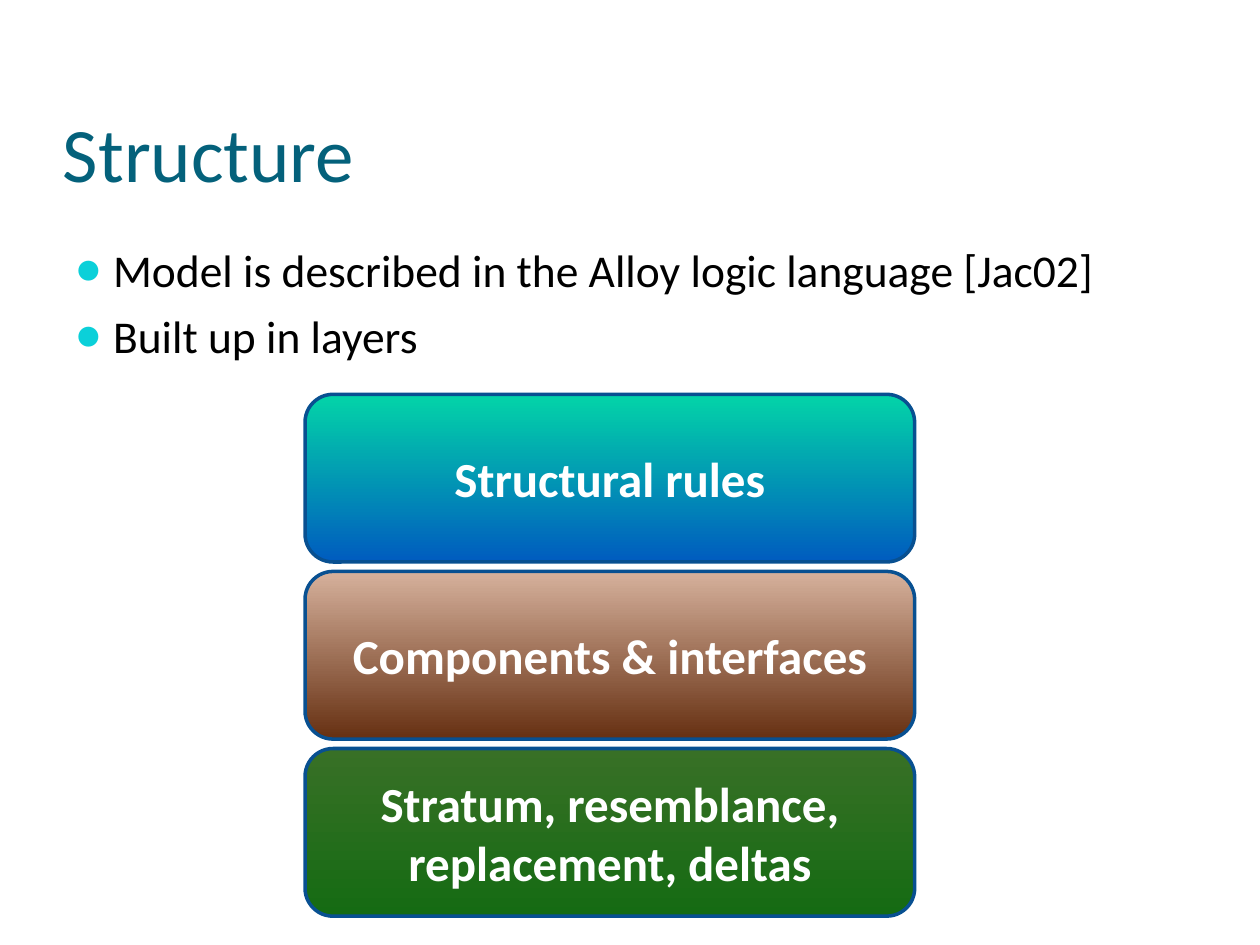
import dataclasses
import typing

import lxml.etree
import pptx
import pptx.dml.color
import pptx.enum.shapes
import pptx.enum.text
import pptx.oxml.ns
import pptx.util

Cm = pptx.util.Cm
Pt = pptx.util.Pt
RGB = pptx.dml.color.RGBColor.from_string
Align = pptx.enum.text.PP_ALIGN
Anchor = pptx.enum.text.MSO_ANCHOR


@dataclasses.dataclass(frozen=True)
class Theme:
    font: str = "Calibri"
    title: str = "04617B"
    body: str = "000000"
    bullet: str = "0BD0D9"
    label: str = "FFFFFF"
    edge: str = "085091"
    title_size: int = 44
    body_size: int = 26
    label_size: int = 28


@dataclasses.dataclass(frozen=True)
class Layer:
    text: str
    top: str
    base: str


THEME = Theme()
LEFT, WIDTH = 1.27, 22.86
BOX_LEFT, BOX_TOP, BOX_WIDTH, BOX_HEIGHT, PITCH = 6.15, 7.95, 12.29, 3.38, 3.57
HANG = Cm(0.76)
POINTS = ["Model is described in the Alloy logic language [Jac02]", "Built up in layers"]
LAYERS = [
    Layer("Structural rules", "03D4A8", "005CBF"),
    Layer("Components & interfaces", "D6B19C", "663012"),
    Layer("Stratum, resemblance, replacement, deltas", "387026", "156B13"),
]


def apply(target: typing.Any, values: dict[str, typing.Any]) -> None:
    for name, value in values.items():
        setattr(target, name, value)


def set_font(para: typing.Any, size: int, color: str, bold: bool = False) -> None:
    apply(para.font, {"name": THEME.font, "size": Pt(size), "bold": bold})
    para.font.color.rgb = RGB(color)


def add_bullet(para: typing.Any) -> None:
    props = para._p.get_or_add_pPr()
    apply(props, {"marL": HANG, "indent": -HANG}) if hasattr(props, "marL") else None
    props.set("marL", str(int(HANG)))
    props.set("indent", str(-int(HANG)))
    qn = pptx.oxml.ns.qn
    color = lxml.etree.SubElement(props, qn("a:buClr"))
    lxml.etree.SubElement(color, qn("a:srgbClr"), val=THEME.bullet)
    lxml.etree.SubElement(props, qn("a:buSzPct"), val="95000")
    lxml.etree.SubElement(props, qn("a:buFont"), typeface=THEME.font)
    lxml.etree.SubElement(props, qn("a:buChar"), char="●")


def add_title(slide: typing.Any, text: str) -> None:
    box = slide.shapes.add_textbox(Cm(LEFT), Cm(1.4), Cm(WIDTH), Cm(2.59))
    frame = box.text_frame
    apply(frame, {"word_wrap": True, "vertical_anchor": Anchor.BOTTOM, "text": text,
                  "margin_left": 0, "margin_right": 0, "margin_bottom": 0})
    set_font(frame.paragraphs[0], THEME.title_size, THEME.title)


def add_points(slide: typing.Any, points: list[str]) -> None:
    box = slide.shapes.add_textbox(Cm(LEFT), Cm(4.75), Cm(WIDTH), Cm(12.8))
    frame = box.text_frame
    apply(frame, {"word_wrap": True, "text": "\n".join(points)})
    for place, para in enumerate(frame.paragraphs):
        add_bullet(para)
        para.space_before = Pt(6.5 if place else 0)
        set_font(para, THEME.body_size, THEME.body)


def add_layer(slide: typing.Any, layer: Layer, row: int) -> None:
    box = slide.shapes.add_shape(
        pptx.enum.shapes.MSO_SHAPE.ROUNDED_RECTANGLE,
        Cm(BOX_LEFT), Cm(BOX_TOP + row * PITCH), Cm(BOX_WIDTH), Cm(BOX_HEIGHT))
    box.shadow.inherit = False
    box.fill.gradient()
    box.fill.gradient_angle = 270
    for stop, color, place in zip(box.fill.gradient_stops, (layer.top, layer.base), (0, 1)):
        stop.color.rgb = RGB(color)
        stop.position = place
    box.line.width = Pt(2)
    box.line.color.rgb = RGB(THEME.edge)
    frame = box.text_frame
    apply(frame, {"word_wrap": True, "vertical_anchor": Anchor.MIDDLE, "text": layer.text})
    para = frame.paragraphs[0]
    para.alignment = Align.CENTER
    set_font(para, THEME.label_size, THEME.label, True)


def main() -> None:
    deck = pptx.Presentation()
    apply(deck, {"slide_width": Cm(25.4), "slide_height": Cm(19.05)})
    slide = deck.slides.add_slide(deck.slide_layouts[6])
    add_title(slide, "Structure")
    add_points(slide, POINTS)
    for row, layer in reversed(list(enumerate(LAYERS))):
        add_layer(slide, layer, row)
    deck.save("out.pptx")


if __name__ == "__main__":
    main()
